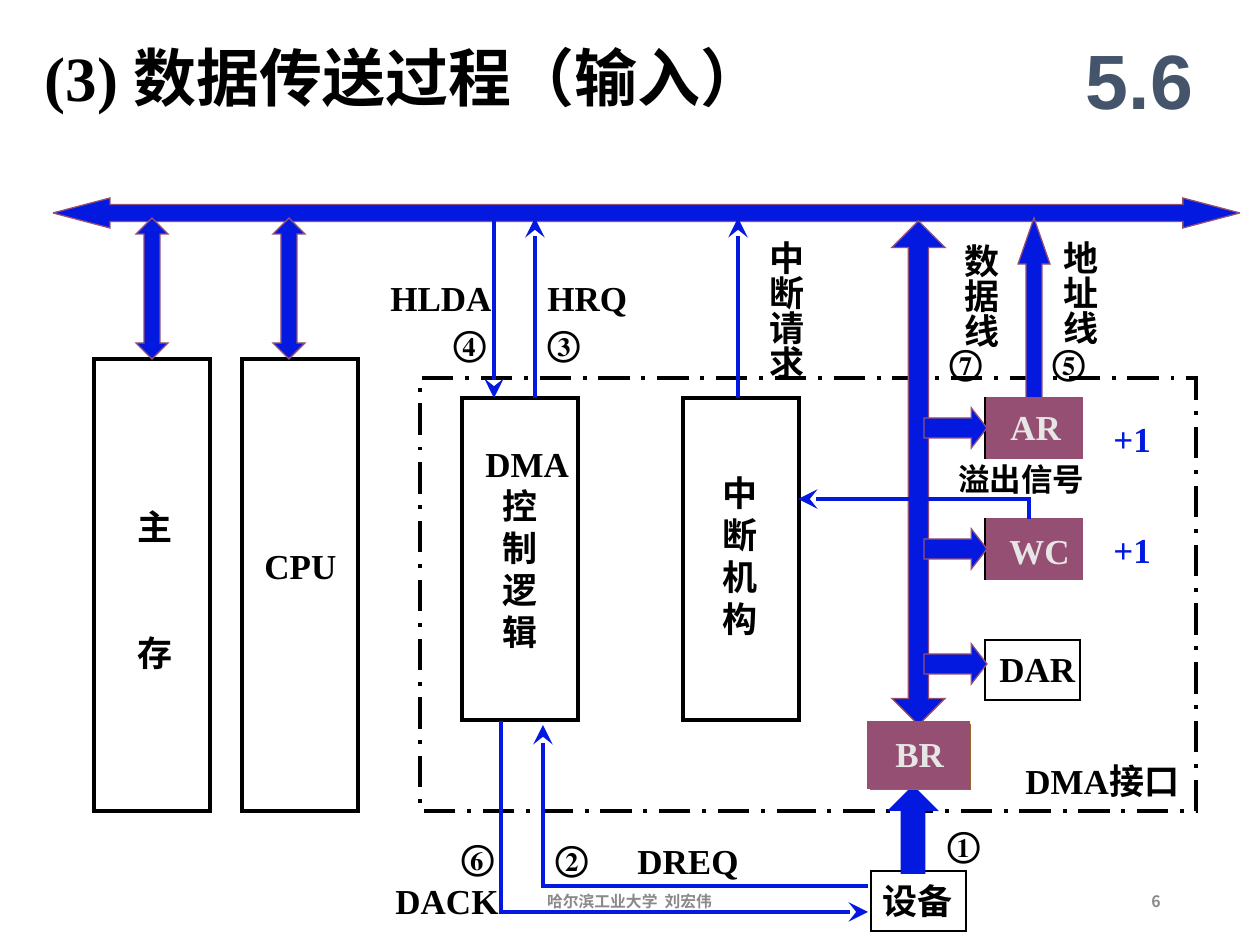
from dataclasses import dataclass

from lxml import etree
from pptx import Presentation
from pptx import util as u
from pptx.dml.color import RGBColor
from pptx.enum import dml, shapes, text
from pptx.oxml.ns import qn

PX = 914400 / 126
KIND = shapes.MSO_SHAPE


@dataclass(frozen=True)
class Theme:
    ink: str = "000000"
    blue: str = "0419E0"
    plum: str = "954F72"
    brown: str = "996633"
    pale: str = "E7E6E6"
    slate: str = "44546A"
    gray: str = "898989"
    serif: str = "Times New Roman"
    sans: str = "Arial"
    chinese: str = "Noto Sans CJK SC"
    title: int = 36
    section: int = 44
    label: int = 20
    signal: int = 18
    footer: int = 9
    thick: float = 2.25
    thin: float = 0.75


THEME = Theme()


def px(value):
    return u.Emu(round(value * PX))


def apply(target, values):
    for name, value in values.items():
        setattr(target, name, value)


def place(item, at):
    apply(item, dict(zip(("left", "top", "width", "height"), map(px, at))))


def stroke(item, color, width):
    item.line.color.rgb = RGBColor.from_string(color)
    item.line.width = u.Pt(width)
    etree.SubElement(item.line._get_or_add_ln(), qn("a:miter"), lim="800000")


def write(box, lines, size=THEME.label, color=THEME.ink, font=THEME.serif,
          chinese=THEME.chinese, align=text.PP_ALIGN.LEFT, wrap=False,
          anchor=text.MSO_ANCHOR.TOP, before=0, indent=0):
    frame = box.text_frame
    apply(frame, {"word_wrap": wrap, "auto_size": text.MSO_AUTO_SIZE.NONE,
                  "vertical_anchor": anchor})
    if not wrap:
        frame.margin_right = 0
    for index, line in enumerate(lines):
        para = frame.add_paragraph() if index else frame.paragraphs[0]
        apply(para, {"alignment": align, "line_spacing": u.Pt(size * 1.2),
                     "space_before": u.Pt(before if index else 0)})
        if index and indent:
            para._p.get_or_add_pPr().set("marL", str(px(indent)))
        span = para.add_run()
        span.text = line
        apply(span.font, {"size": u.Pt(size), "bold": True, "name": font})
        span.font.color.rgb = RGBColor.from_string(color)
        etree.SubElement(span.font._element, qn("a:ea"), typeface=chinese)


def add_label(page, at, *lines, **style):
    box = page.shapes.add_textbox(*map(px, at))
    write(box, lines, **style)
    return box


def add_vertical_label(page, at, line):
    box = add_label(page, at, line)
    apply(box.text_frame, {"margin_left": u.Inches(0.05), "margin_right": u.Inches(0.05),
                           "margin_top": u.Inches(0.05), "margin_bottom": 0})
    box.element.txBody.bodyPr.set("vert", "eaVert")


def add_shape(page, kind, at, fill=None, line=THEME.ink, width=THEME.thick, adjust=()):
    shape = page.shapes.add_shape(kind, *map(px, at))
    shape.shadow.inherit = False
    for index, value in enumerate(adjust):
        shape.adjustments[index] = value
    if fill:
        shape.fill.solid()
        shape.fill.fore_color.rgb = RGBColor.from_string(fill)
    else:
        shape.fill.background()
    stroke(shape, line, width)
    return shape


def add_block_arrow(page, kind, at, adjust, line=THEME.plum, width=THEME.thin):
    add_shape(page, kind, at, THEME.blue, line, width, adjust)


def finish_signal(item):
    stroke(item, THEME.blue, THEME.thick)
    etree.SubElement(item.line._get_or_add_ln(), qn("a:tailEnd"),
                     type="stealth", w="lg", len="lg")


def add_signal(page, x, start, end):
    line = page.shapes.add_connector(shapes.MSO_CONNECTOR.STRAIGHT,
                                     *map(px, (x, start, x, end)))
    finish_signal(line)
    etree.SubElement(line.element.spPr, qn("a:effectLst"))


def add_bent_signal(page, start, *points):
    builder = page.shapes.build_freeform(*start, scale=PX)
    builder.add_line_segments(points, close=False)
    path = builder.convert_to_shape()
    path.shadow.inherit = False
    path.fill.background()
    finish_signal(path)


def add_units(page):
    for at in ((462, 398, 116, 322), (683, 398, 116, 322),
               (94, 359, 116, 452), (242, 359, 116, 452)):
        add_shape(page, KIND.RECTANGLE, at)
    add_label(page, (473, 436, 108, 223), "DMA", *"控制逻辑", indent=17)
    add_label(page, (710, 465, 60, 181), *"中断机构")
    add_label(page, (125, 499, 60, 181), *"主存", before=48)
    add_label(page, (252, 538, 97, 55), "CPU")
    interface = add_shape(page, KIND.RECTANGLE, (420, 378, 776, 433))
    interface.line.dash_style = dml.MSO_LINE.LONG_DASH_DOT
    add_label(page, (1013, 753, 188, 55), "DMA接口")
    add_shape(page, KIND.RECTANGLE, (871, 871, 95, 60), width=1)
    add_label(page, (870, 873, 95, 55), "设备")


def add_buses(page):
    add_block_arrow(page, KIND.LEFT_RIGHT_ARROW, (53, 198, 1187, 30), (0.57, 1.9))
    for x in (136, 273):
        add_block_arrow(page, KIND.UP_DOWN_ARROW, (x, 218, 32, 141), (0.89, 0.5))
    add_block_arrow(page, KIND.UP_DOWN_ARROW, (892, 221, 53, 504), (0.7, 0.38))
    add_block_arrow(page, KIND.UP_ARROW, (1018, 218, 32, 181), (0.5, 1.44))
    add_block_arrow(page, KIND.UP_ARROW, (892, 788, 42, 84), (0.5, 0.5),
                    THEME.blue, THEME.thick)


def add_registers(page):
    for top, arrow_top in ((398, 408), (519, 529), (640, 644)):
        add_shape(page, KIND.RECTANGLE, (985, top, 95, 60), width=1)
        add_block_arrow(page, KIND.RIGHT_ARROW, (924, arrow_top, 63, 40), (0.5, 0.39))
    add_label(page, (987, 641, 101, 55), "DAR")
    for name, top, left, label_top, step_top in (("AR", 398, 998, 399, 411),
                                                 ("WC", 519, 997, 523, 522)):
        add_shape(page, KIND.RECTANGLE, (987, top, 95, 60), THEME.plum, THEME.plum,
                  THEME.thin)
        add_label(page, (left, label_top, 80, 55), name, color=THEME.pale)
        add_label(page, (1101, step_top, 63, 55), "+1", color=THEME.blue)
    add_shape(page, KIND.RECTANGLE, (871, 725, 99, 64), THEME.brown, THEME.brown, THEME.thin)
    add_shape(page, KIND.RECTANGLE, (871, 725, 95, 60), THEME.plum, THEME.plum, 4.5)
    add_label(page, (883, 726, 73, 55), "BR", color=THEME.pale)


def add_signals(page):
    add_signal(page, 494, 218, 398)
    for x in (535, 738):
        add_signal(page, x, 398, 218)
    add_bent_signal(page, (868, 886), (543, 886), (543, 725))
    add_bent_signal(page, (501, 721), (501, 912), (868, 912))
    add_bent_signal(page, (1029, 519), (1029, 499), (798, 499))
    for name, left, top, width in (("HLDA", 378, 270, 126), ("HRQ", 535, 270, 105),
                                   ("DREQ", 625, 833, 126), ("DACK", 383, 873, 129)):
        add_label(page, (left, top, width, 55), name)
    add_label(page, (946, 454, 151, 50), "溢出信号", size=THEME.signal)
    for name, left, top, height in (("中断请求", 746, 228, 154), ("数据线", 941, 231, 118),
                                    ("地址线", 1040, 228, 118)):
        add_vertical_label(page, (left, top, 67, height), name)
    for number, left, top in (("①", 935, 816), ("②", 543, 830), ("③", 535, 315),
                              ("④", 441, 315), ("⑤", 1040, 334), ("⑥", 449, 829),
                              ("⑦", 937, 334)):
        add_label(page, (left, top, 60, 55), number, chinese=THEME.serif)


def add_headings(page):
    title = page.shapes.title
    place(title, (32, 32, 861, 88))
    write(title, ["(3) 数据传送过程（输入）"], size=THEME.title, wrap=True)
    middle = {"wrap": True, "anchor": text.MSO_ANCHOR.MIDDLE}
    add_label(page, (1061, 21, 157, 116), "5.6", size=THEME.section, color=THEME.slate,
              font=THEME.sans, align=text.PP_ALIGN.CENTER, **middle)
    footer = {"size": THEME.footer, "color": THEME.gray, "font": THEME.chinese, **middle}
    add_label(page, (890, 876, 283, 50), "6", align=text.PP_ALIGN.RIGHT, **footer)
    add_label(page, (417, 876, 425, 50), "哈尔滨工业大学  刘宏伟",
              align=text.PP_ALIGN.CENTER, **footer)


def main():
    deck = Presentation()
    apply(deck, {"slide_width": px(1260), "slide_height": px(945)})
    page = deck.slides.add_slide(deck.slide_layouts[5])
    add_headings(page)
    add_units(page)
    add_buses(page)
    add_registers(page)
    add_signals(page)
    deck.save("out.pptx")


if __name__ == "__main__":
    main()
